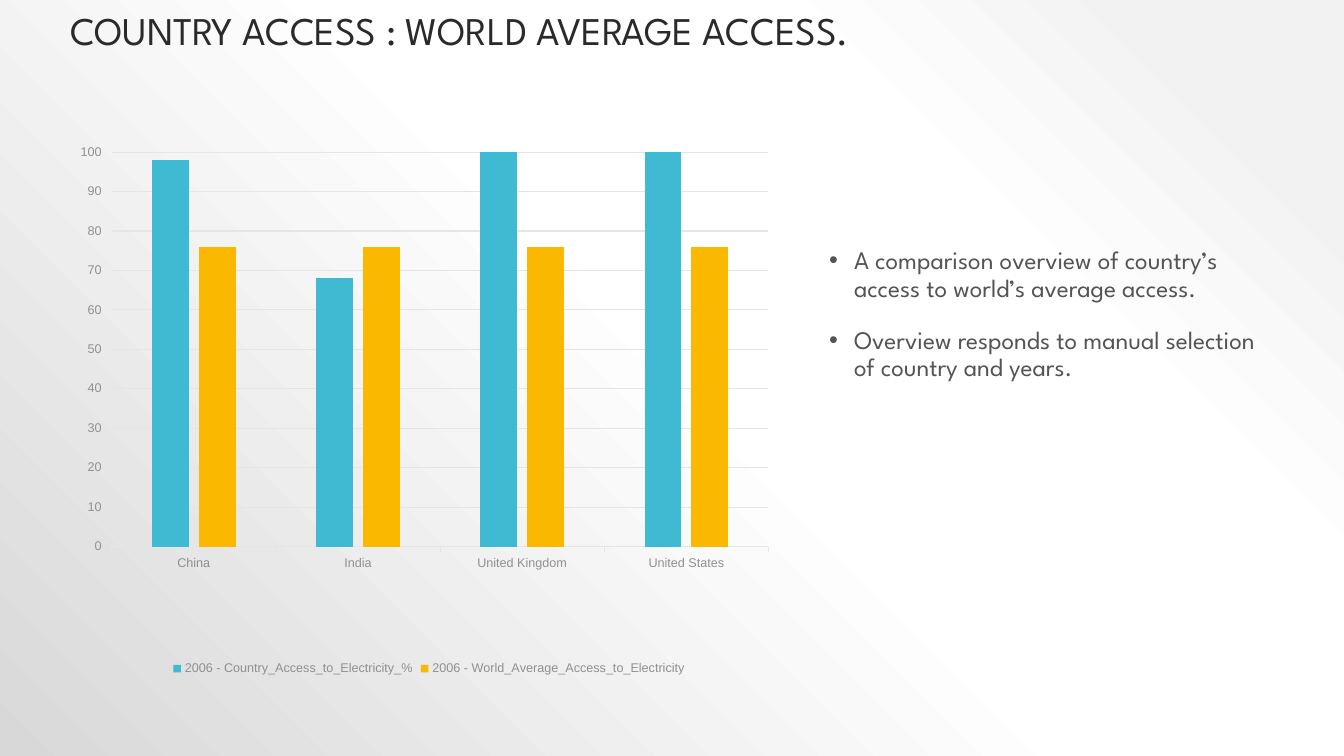
from dataclasses import dataclass

from pptx import Presentation
from pptx.chart.data import CategoryChartData
from pptx.dml.color import RGBColor
from pptx.enum.chart import XL_CHART_TYPE as ChartType
from pptx.enum.chart import XL_LEGEND_POSITION as LegendPos
from pptx.enum.chart import XL_TICK_MARK as Tick
from pptx.enum.text import MSO_ANCHOR as Anchor
from pptx.enum.text import MSO_AUTO_SIZE as AutoSize
from pptx.enum.text import PP_ALIGN as Align
from pptx.oxml import parse_xml
from pptx.oxml.ns import nsdecls, qn
from pptx.util import Emu, Pt

EMU_PER_PX = 914400 / 100.8

INK = RGBColor(0x2A, 0x2A, 0x2A)
BODY = RGBColor(0x54, 0x54, 0x54)
LABEL = RGBColor(0x90, 0x90, 0x90)
GRID = RGBColor(0xE5, 0xE5, 0xE5)
CYAN = RGBColor(0x40, 0xBA, 0xD2)
AMBER = RGBColor(0xFA, 0xB9, 0x00)
PALE = RGBColor(0xF2, 0xF2, 0xF2)
WHITE = RGBColor(0xFF, 0xFF, 0xFF)
SILVER = RGBColor(0xD8, 0xD8, 0xD8)

TEXT_FONT = "League Spartan"
CHART_FONT = "Arial"
BACKGROUND_STOPS = [(0, PALE), (10, PALE), (28, WHITE), (48, WHITE), (100, SILVER)]


@dataclass(frozen=True)
class Box:
    left: int
    top: int
    width: int
    height: int

    def emu(self) -> tuple[Emu, Emu, Emu, Emu]:
        return px(self.left), px(self.top), px(self.width), px(self.height)


@dataclass(frozen=True)
class Series:
    name: str
    values: tuple[int, ...]
    color: RGBColor


TITLE_BOX = Box(60, 5, 1223, 54)
CHART_BOX = Box(60, 100, 738, 580)
LIST_BOX = Box(814, 243, 469, 246)

COUNTRIES = ("China", "India", "United Kingdom", "United States")
SERIES = (
    Series("2006 - Country_Access_to_Electricity_%", (98, 68, 100, 100), CYAN),
    Series("2006 - World_Average_Access_to_Electricity", (76,) * 4, AMBER),
)
POINTS = (
    "A comparison overview of country’s access to world’s average access.",
    "Overview responds to manual selection of country and years.",
)


def px(n: int) -> Emu:
    return Emu(round(n * EMU_PER_PX))


def style_font(font, size: int, color: RGBColor, name: str) -> None:
    font.size = Pt(size)
    font.name = name
    font.color.rgb = color


def write(p, text: str, *, size: int, color: RGBColor, before: int = 0,
          bullet: bool = False) -> None:
    p.alignment = Align.LEFT
    p.line_spacing = 0.9
    p.space_before = Pt(before)
    r = p.add_run()
    r.text = text
    style_font(r.font, size, color, TEXT_FONT)
    if bullet:
        pPr = p._p.get_or_add_pPr()
        pPr.set("marL", str(px(30)))
        pPr.set("indent", str(px(-25)))
        for xml in (
            f'<a:buClr {nsdecls("a")}><a:srgbClr val="{color}"/></a:buClr>',
            f'<a:buFont {nsdecls("a")} typeface="{CHART_FONT}"/>',
            f'<a:buChar {nsdecls("a")} char="•"/>',
        ):
            pPr.append(parse_xml(xml))


def place(sp, box: Box, anchor: Anchor):
    sp.left, sp.top, sp.width, sp.height = box.emu()
    tf = sp.text_frame
    tf.word_wrap = True
    tf.auto_size = AutoSize.NONE
    tf.vertical_anchor = anchor
    tf.margin_left = tf.margin_right = px(10)
    tf.margin_top = tf.margin_bottom = px(5)
    return tf


def paint_background(slide) -> None:
    slide.background.fill.gradient()
    grad = slide.element.find(".//" + qn("a:gradFill"))
    stops = "".join(
        f'<a:gs pos="{pos * 1000}"><a:srgbClr val="{color}"/></a:gs>'
        for pos, color in BACKGROUND_STOPS
    )
    grad.getparent().replace(grad, parse_xml(
        f'<a:gradFill {nsdecls("a")} rotWithShape="1"><a:gsLst>{stops}</a:gsLst>'
        '<a:path path="circle"><a:fillToRect l="100000" b="100000"/></a:path>'
        '</a:gradFill>'
    ))


def set_plot_layout(chart, x: float, y: float, w: float, h: float) -> None:
    area = chart.element.find(".//" + qn("c:plotArea"))
    for old in area.findall(qn("c:layout")):
        area.remove(old)
    area.insert(0, parse_xml(
        f'<c:layout {nsdecls("c")}><c:manualLayout><c:layoutTarget val="inner"/>'
        '<c:xMode val="edge"/><c:yMode val="edge"/>'
        f'<c:x val="{x}"/><c:y val="{y}"/><c:w val="{w}"/><c:h val="{h}"/>'
        '</c:manualLayout></c:layout>'
    ))


def add_access_chart(slide) -> None:
    data = CategoryChartData()
    data.categories = COUNTRIES
    for series in SERIES:
        data.add_series(series.name, series.values)
    chart = slide.shapes.add_chart(
        ChartType.COLUMN_CLUSTERED, *CHART_BOX.emu(), data).chart
    chart.has_title = False
    style_font(chart.font, 10, BODY, CHART_FONT)
    set_plot_layout(chart, 0.07, 0.09, 0.89, 0.68)

    plot = chart.plots[0]
    plot.vary_by_categories = False
    plot.gap_width = 219
    plot.overlap = -27
    for bars, series in zip(plot.series, SERIES):
        bars.format.fill.solid()
        bars.format.fill.fore_color.rgb = series.color

    cat, val = chart.category_axis, chart.value_axis
    for axis in (cat, val):
        axis.major_tick_mark = Tick.OUTSIDE
        axis.minor_tick_mark = Tick.NONE
        style_font(axis.tick_labels.font, 9, LABEL, CHART_FONT)
    val.minimum_scale, val.maximum_scale, val.major_unit = 0, 100, 10
    val.has_major_gridlines = True
    val.format.line.fill.background()
    for line in (cat.format.line, val.major_gridlines.format.line):
        line.color.rgb = GRID
        line.width = Pt(0.75)

    chart.has_legend = True
    chart.legend.position = LegendPos.BOTTOM
    chart.legend.include_in_layout = False
    style_font(chart.legend.font, 9, LABEL, CHART_FONT)


def main() -> None:
    prs = Presentation()
    prs.slide_width, prs.slide_height = px(1344), px(756)
    slide = prs.slides.add_slide(prs.slide_layouts[1])
    paint_background(slide)

    tf = place(slide.shapes.title, TITLE_BOX, Anchor.BOTTOM)
    write(tf.paragraphs[0], "COUNTRY ACCESS : WORLD AVERAGE ACCESS.",
          size=28, color=INK)

    add_access_chart(slide)

    tf = place(slide.placeholders[1], LIST_BOX, Anchor.TOP)
    for i, point in enumerate(POINTS):
        p = tf.add_paragraph() if i else tf.paragraphs[0]
        write(p, point, size=18, color=BODY, before=18 if i else 0, bullet=True)

    prs.save("out.pptx")


if __name__ == "__main__":
    main()
